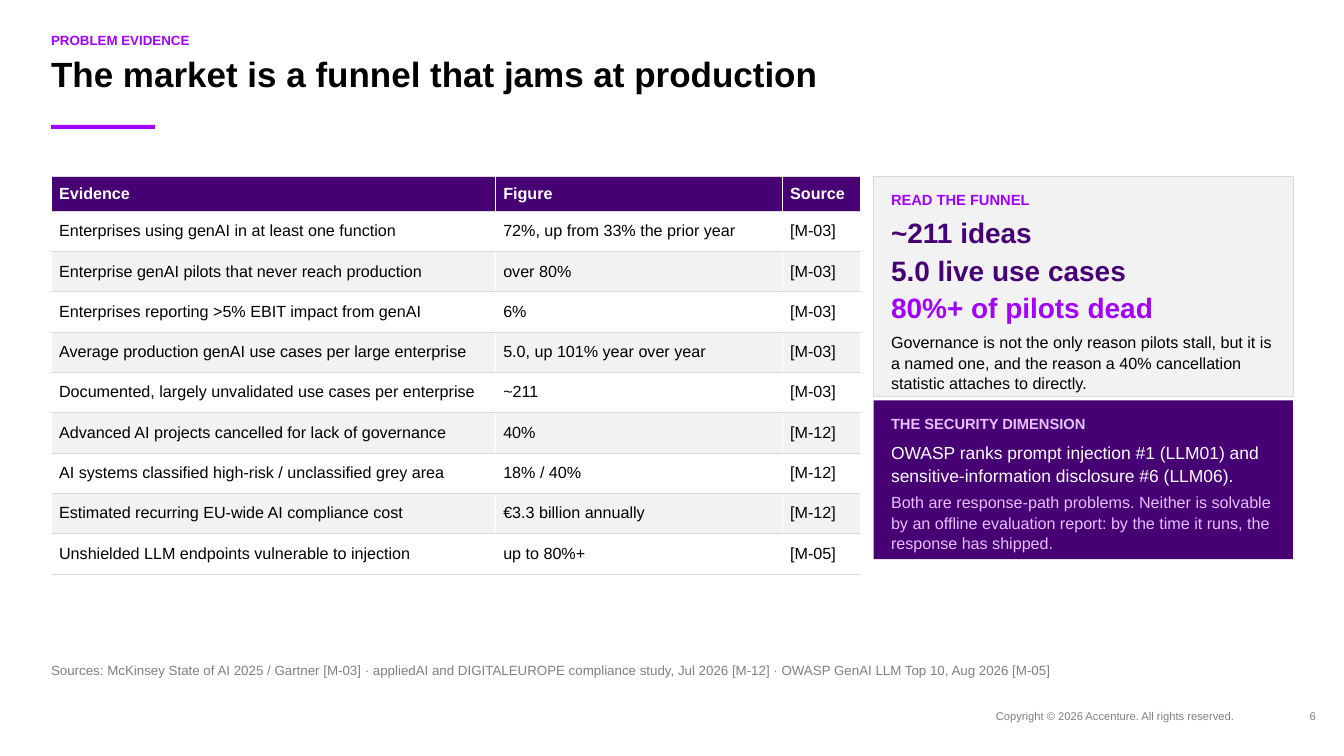
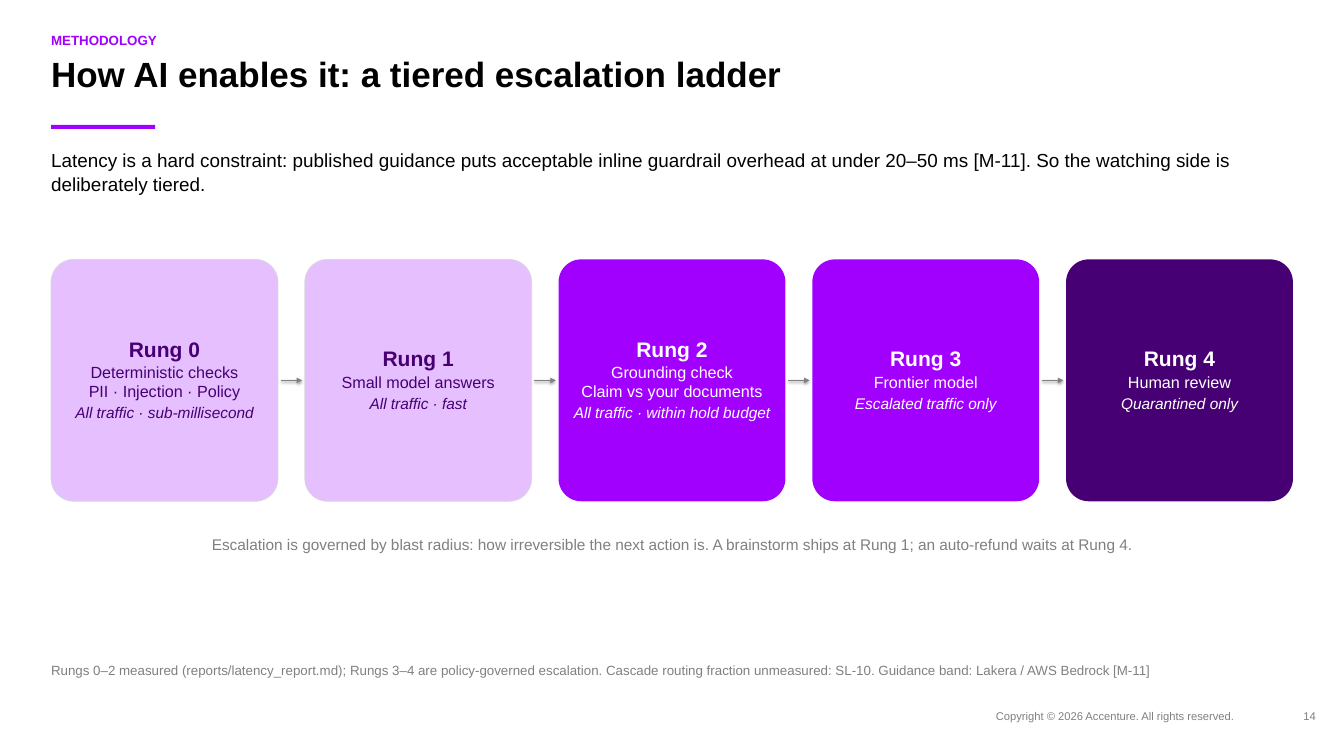
"""Builds two slides: a table of market evidence and a tiered escalation ladder."""
from pptx import Presentation
from pptx.dml.color import RGBColor
from pptx.enum.shapes import MSO_CONNECTOR as Connector, MSO_SHAPE as Shape
from pptx.enum.text import MSO_ANCHOR as Anchor, MSO_AUTO_SIZE as AutoSize, PP_ALIGN as Align
from pptx.oxml import parse_xml
from pptx.oxml.ns import nsdecls
from pptx.util import Pt

FONT = "Arial"
PURPLE, DEEP, LILAC = "A100FF", "460073", "E6BFFF"
BLACK, WHITE, GREY = "000000", "FFFFFF", "808080"
PALE, RULE = "F2F2F2", "D9D9D9"
LEFT, WIDTH = 54.72, 1330.56
CONTENT_TOP = 188.64
color = RGBColor.from_string


def write(frame, lines, margins=(0, 0, 0, 0), align=Align.LEFT, anchor=Anchor.TOP, grow=True):
    """Fill a frame with lines of (text, size, color, style, line spacing, space before)."""
    frame.word_wrap = True
    frame.auto_size = AutoSize.SHAPE_TO_FIT_TEXT if grow else AutoSize.NONE
    frame.vertical_anchor = anchor
    frame.margin_left, frame.margin_top, frame.margin_right, frame.margin_bottom = map(Pt, margins)
    frame.text = "\n".join(line[0] for line in lines)
    for paragraph, (_, size, ink, style, spacing, before) in zip(frame.paragraphs, lines):
        paragraph.alignment = align
        paragraph.line_spacing = spacing
        paragraph.space_before = Pt(before)
        font = paragraph.runs[0].font
        font.name, font.size = FONT, Pt(size)
        font.bold, font.italic = style == "bold", style == "italic"
        font.color.rgb = color(ink)


def add_panel(slide, kind, place, fill, outlined=False):
    """Add a filled shape without shadow, with a thin grey outline if wanted."""
    shape = slide.shapes.add_shape(kind, *map(Pt, place))
    shape.shadow.inherit = False
    shape.fill.solid()
    shape.fill.fore_color.rgb = color(fill)
    if outlined:
        shape.line.color.rgb = color(RULE)
        shape.line.width = Pt(0.75)
    else:
        shape.line.fill.background()
    return shape


presentation = Presentation()
presentation.slide_width, presentation.slide_height = Pt(1440), Pt(810)

headings = [
    ("PROBLEM EVIDENCE", "The market is a funnel that jams at production",
     "Sources: McKinsey State of AI 2025 / Gartner [M-03] · appliedAI and DIGITALEUROPE compliance study, "
     "Jul 2026 [M-12] · OWASP GenAI LLM Top 10, Aug 2026 [M-05]", "6"),
    ("METHODOLOGY", "How AI enables it: a tiered escalation ladder",
     "Rungs 0–2 measured (reports/latency_report.md); Rungs 3–4 are policy-governed escalation. "
     "Cascade routing fraction unmeasured: SL-10. Guidance band: Lakera / AWS Bedrock [M-11]", "14"),
]
slides = []
for label, title, source_note, number in headings:
    slide = presentation.slides.add_slide(presentation.slide_layouts[6])
    slides.append(slide)
    add_panel(slide, Shape.RECTANGLE, (LEFT, 133.92, 111.6, 4.32), PURPLE)
    for place, line, align in [
        ((LEFT, 34.56, WIDTH, 21.6), (label, 14.25, PURPLE, "bold", 1, 0), Align.LEFT),
        ((LEFT, 59.04, WIDTH, 68.4), (title, 37.5, BLACK, "bold", 0.95, 0), Align.LEFT),
        ((LEFT, 709.92, WIDTH, 21.6), (source_note, 14.25, GREY, "", 1, 0), Align.LEFT),
        ((1067.04, 759.6, 282.96, 17.28),
         ("Copyright © 2026 Accenture. All rights reserved.", 12, GREY, "", 1, 0), Align.LEFT),
        ((1366.56, 759.6, 43.2, 17.28), (number, 12, GREY, "", 1, 0), Align.RIGHT),
    ]:
        write(slide.shapes.add_textbox(*map(Pt, place)).text_frame, [line], align=align)
evidence_slide, ladder_slide = slides

evidence = [
    ("Evidence", "Figure", "Source"),
    ("Enterprises using genAI in at least one function", "72%, up from 33% the prior year", "[M-03]"),
    ("Enterprise genAI pilots that never reach production", "over 80%", "[M-03]"),
    ("Enterprises reporting >5% EBIT impact from genAI", "6%", "[M-03]"),
    ("Average production genAI use cases per large enterprise", "5.0, up 101% year over year", "[M-03]"),
    ("Documented, largely unvalidated use cases per enterprise", "~211", "[M-03]"),
    ("Advanced AI projects cancelled for lack of governance", "40%", "[M-12]"),
    ("AI systems classified high-risk / unclassified grey area", "18% / 40%", "[M-12]"),
    ("Estimated recurring EU-wide AI compliance cost", "€3.3 billion annually", "[M-12]"),
    ("Unshielded LLM endpoints vulnerable to injection", "up to 80%+", "[M-05]"),
]
column_widths = [475.92, 307.44, 84.24]
borders = [("lnL", WHITE, 1), ("lnR", WHITE, 1), ("lnT", RULE, 0.75), ("lnB", RULE, 0.75)]
table = evidence_slide.shapes.add_table(
    len(evidence), len(column_widths), Pt(LEFT), Pt(CONTENT_TOP), Pt(sum(column_widths)), Pt(426.24)).table
table.horz_banding = False
for column, width in zip(table.columns, column_widths):
    column.width = Pt(width)
for row_index, texts in enumerate(evidence):
    is_header = row_index == 0
    table.rows[row_index].height = Pt(37.44 if is_header else 43.2)
    for column_index, text in enumerate(texts):
        cell = table.cell(row_index, column_index)
        cell.text = text
        cell.vertical_anchor = Anchor.MIDDLE
        cell.margin_left = cell.margin_right = Pt(8.64)
        cell.margin_top = cell.margin_bottom = Pt(3.6)
        font = cell.text_frame.paragraphs[0].runs[0].font
        font.name, font.size, font.bold = FONT, Pt(17.25), is_header
        font.color.rgb = color(WHITE if is_header else BLACK)
        for tag, ink, weight in borders:
            cell._tc.get_or_add_tcPr().append(parse_xml(
                f'<a:{tag} {nsdecls("a")} w="{Pt(weight)}"><a:solidFill><a:srgbClr val="{ink}"/>'
                f'</a:solidFill></a:{tag}>'))
        cell.fill.solid()
        cell.fill.fore_color.rgb = color(DEEP if is_header else WHITE if row_index % 2 else PALE)

side_panels = [
    (CONTENT_TOP, 236.16, PALE, True, [
        ("READ THE FUNNEL", 15.75, PURPLE, "bold", 1, 0),
        ("~211 ideas", 30, DEEP, "bold", 1, 8),
        ("5.0 live use cases", 30, DEEP, "bold", 1, 4),
        ("80%+ of pilots dead", 30, PURPLE, "bold", 1, 4),
        ("Governance is not the only reason pilots stall, but it is a named one, and the reason "
         "a 40% cancellation statistic attaches to directly.", 17.25, BLACK, "", 1.06, 8)]),
    (429.12, 169.92, DEEP, False, [
        ("THE SECURITY DIMENSION", 15.75, LILAC, "bold", 1, 0),
        ("OWASP ranks prompt injection #1 (LLM01) and sensitive-information disclosure #6 (LLM06).",
         18.75, WHITE, "", 1.08, 8),
        ("Both are response-path problems. Neither is solvable by an offline evaluation report: "
         "by the time it runs, the response has shipped.", 17.25, LILAC, "", 1.06, 6)]),
]
for top, height, fill, outlined, lines in side_panels:
    panel = add_panel(evidence_slide, Shape.RECTANGLE, (936, top, 449.28, height), fill, outlined)
    write(panel.text_frame, lines, (18.72, 15.84, 18.72, 4.32), grow=False)

intro = ("Latency is a hard constraint: published guidance puts acceptable inline guardrail overhead at under "
         "20–50 ms [M-11]. So the watching side is deliberately tiered.")
escalation = ("Escalation is governed by blast radius: how irreversible the next action is. "
              "A brainstorm ships at Rung 1; an auto-refund waits at Rung 4.")
for top, height, line, align in [
    (158.4, 54, (intro, 20.25, BLACK, "", 1.05, 0), Align.LEFT),
    (571.68, 43.2, (escalation, 16.5, GREY, "", 1.06, 0), Align.CENTER),
]:
    box = ladder_slide.shapes.add_textbox(Pt(LEFT), Pt(top), Pt(WIDTH), Pt(height))
    write(box.text_frame, [line], align=align)

rungs = [
    (LILAC, DEEP, ["Deterministic checks", "PII · Injection · Policy"], "All traffic · sub-millisecond"),
    (LILAC, DEEP, ["Small model answers"], "All traffic · fast"),
    (PURPLE, WHITE, ["Grounding check", "Claim vs your documents"], "All traffic · within hold budget"),
    (PURPLE, WHITE, ["Frontier model"], "Escalated traffic only"),
    (DEEP, WHITE, ["Human review"], "Quarantined only"),
]
rung_top, rung_height, gap, arrow_inset = 277.92, 259.2, 28.8, 2.88
rung_width = (WIDTH - gap * (len(rungs) - 1)) / len(rungs)
arrow_y = rung_top + rung_height / 2
for index, (fill, ink, checks, traffic) in enumerate(rungs):
    left = LEFT + index * (rung_width + gap)
    rung = add_panel(ladder_slide, Shape.ROUNDED_RECTANGLE, (left, rung_top, rung_width, rung_height),
                     fill, fill == LILAC)
    rung.adjustments[0] = 0.1
    lines = [(f"Rung {index}", 22.5, ink, "bold", 0.92, 0)]
    lines += [(check, 17.25, ink, "", 0.92, 1 if position else 3) for position, check in enumerate(checks)]
    lines += [(traffic, 16.5, ink, "italic", 0.92, 4)]
    write(rung.text_frame, lines, (8.64, 4.32, 8.64, 4.32), Align.CENTER, Anchor.MIDDLE, grow=False)
    if index:
        arrow = ladder_slide.shapes.add_connector(
            Connector.STRAIGHT, Pt(left - gap + arrow_inset), Pt(arrow_y), Pt(left - arrow_inset), Pt(arrow_y))
        arrow.line.color.rgb = color(GREY)
        arrow.line.width = Pt(1.5)
        arrow.line._get_or_add_ln().append(parse_xml(f'<a:tailEnd {nsdecls("a")} type="triangle"/>'))

presentation.save("out.pptx")
